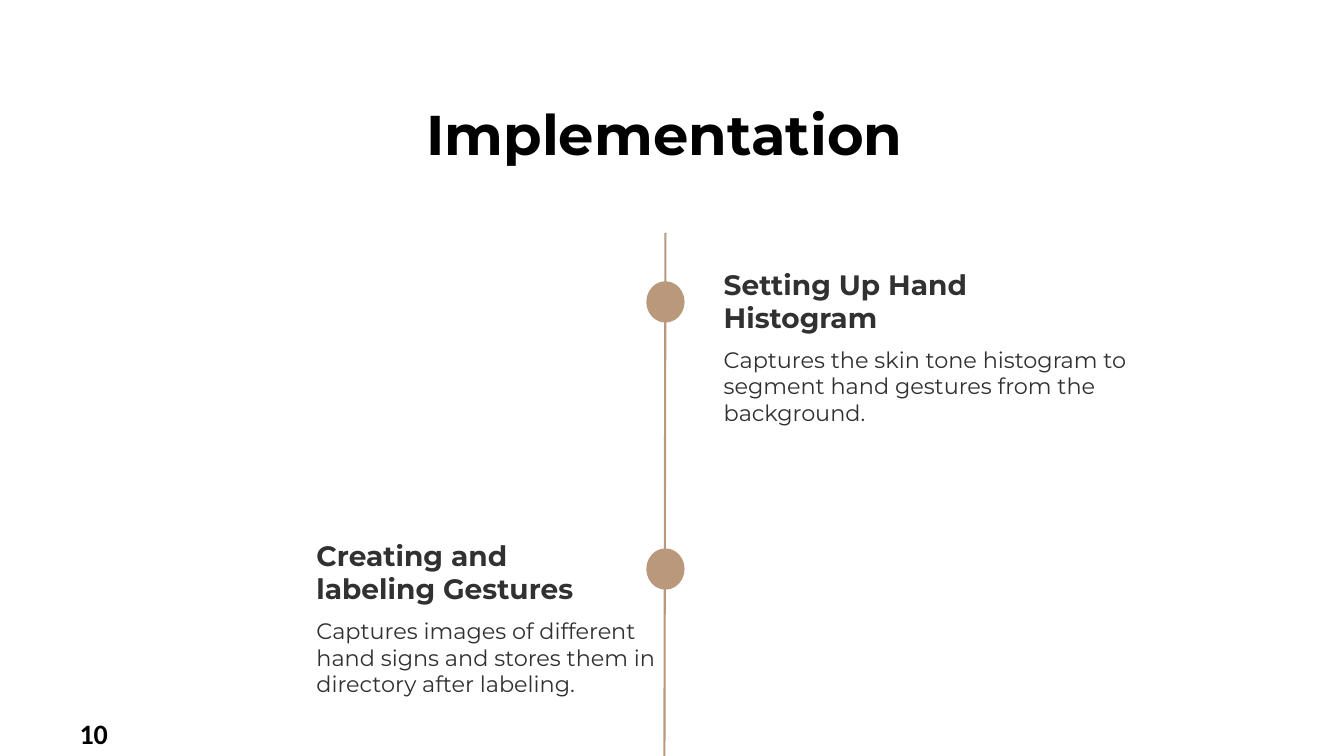
from pptx import Presentation
from pptx.dml.color import RGBColor
from pptx.enum.shapes import MSO_CONNECTOR, MSO_SHAPE
from pptx.enum.text import MSO_ANCHOR, MSO_AUTO_SIZE, PP_ALIGN
from pptx.oxml.ns import qn
from pptx.util import Inches, Pt
from lxml import etree

STRAIGHT = MSO_CONNECTOR.STRAIGHT
NODE = MSO_SHAPE.FLOWCHART_CONNECTOR
TOP = MSO_ANCHOR.TOP
LEFT = PP_ALIGN.LEFT
NO_FIT = MSO_AUTO_SIZE.NONE


def rgb(value):
    return RGBColor.from_string(value)


class Deck:
    font = "Montserrat"
    accent = "BA987B"
    ink = "313131"
    black = "000000"

    def __init__(self, prs):
        self.s = prs.slides.add_slide(prs.slide_layouts[5])

    def set_text(self, sp, text, size, color, bold, font):
        tf = sp.text_frame
        tf.text = text
        tf.word_wrap = True
        tf.auto_size = NO_FIT
        tf.vertical_anchor = TOP
        p = tf.paragraphs[0]
        p.alignment = LEFT
        r = p.runs[0]
        r.font.name = font
        r.font.size = Pt(size)
        r.font.bold = bold
        r.font.color.rgb = rgb(color)

    def title(self, text, x, y, w, h):
        sp = self.s.shapes.title
        sp.left, sp.top, sp.width, sp.height = map(Inches, (x, y, w, h))
        self.set_text(sp, text, 40, self.black, True, self.font)

    def text(self, text, x, y, w, h, size, color=ink, bold=False, font=font):
        sp = self.s.shapes.add_textbox(*map(Inches, (x, y, w, h)))
        self.set_text(sp, text, size, color, bold, font)

    def line(self, x1, y1, x2, y2):
        sp = self.s.shapes.add_connector(STRAIGHT, *map(Inches, (x1, y1, x2, y2)))
        sp.line.color.rgb = rgb(self.accent)
        sp.line.width = Pt(1.5)
        etree.SubElement(sp.element.spPr, qn("a:effectLst"))

    def node(self, x, y, w, h):
        sp = self.s.shapes.add_shape(NODE, *map(Inches, (x, y, w, h)))
        sp.shadow.inherit = False
        sp.fill.solid()
        sp.fill.fore_color.rgb = rgb(self.accent)
        sp.line.fill.background()

    def step(self, node_y, x, y, heading, heading_w, body, body_w):
        self.node(6.41, node_y, 0.38, 0.41)
        self.text(heading, x, y, heading_w, 0.77, 20, bold=True)
        self.text(body, x, y + 0.78, body_w, 0.91, 16)


def main():
    prs = Presentation()
    prs.slide_width = Inches(13.33)
    prs.slide_height = Inches(7.5)
    deck = Deck(prs)
    deck.title("Implementation", 4.13, 0.94, 5.33, 0.77)
    deck.line(6.6, 2.31, 6.59, 7.5)
    deck.step(2.79, 7.08, 2.6, "Setting Up Hand Histogram", 3.73,
              "Captures the skin tone histogram to segment hand gestures "
              "from the background.", 4.4)
    deck.step(5.44, 3.04, 5.29, "Creating and labeling Gestures", 3,
              "Captures images of different hand signs and stores them in "
              "directory after labeling.", 3.82)
    deck.text("10", 0.69, 7.06, 0.52, 0.44, 20, deck.black, True, "Calibri")
    prs.save("out.pptx")


if __name__ == "__main__":
    main()
